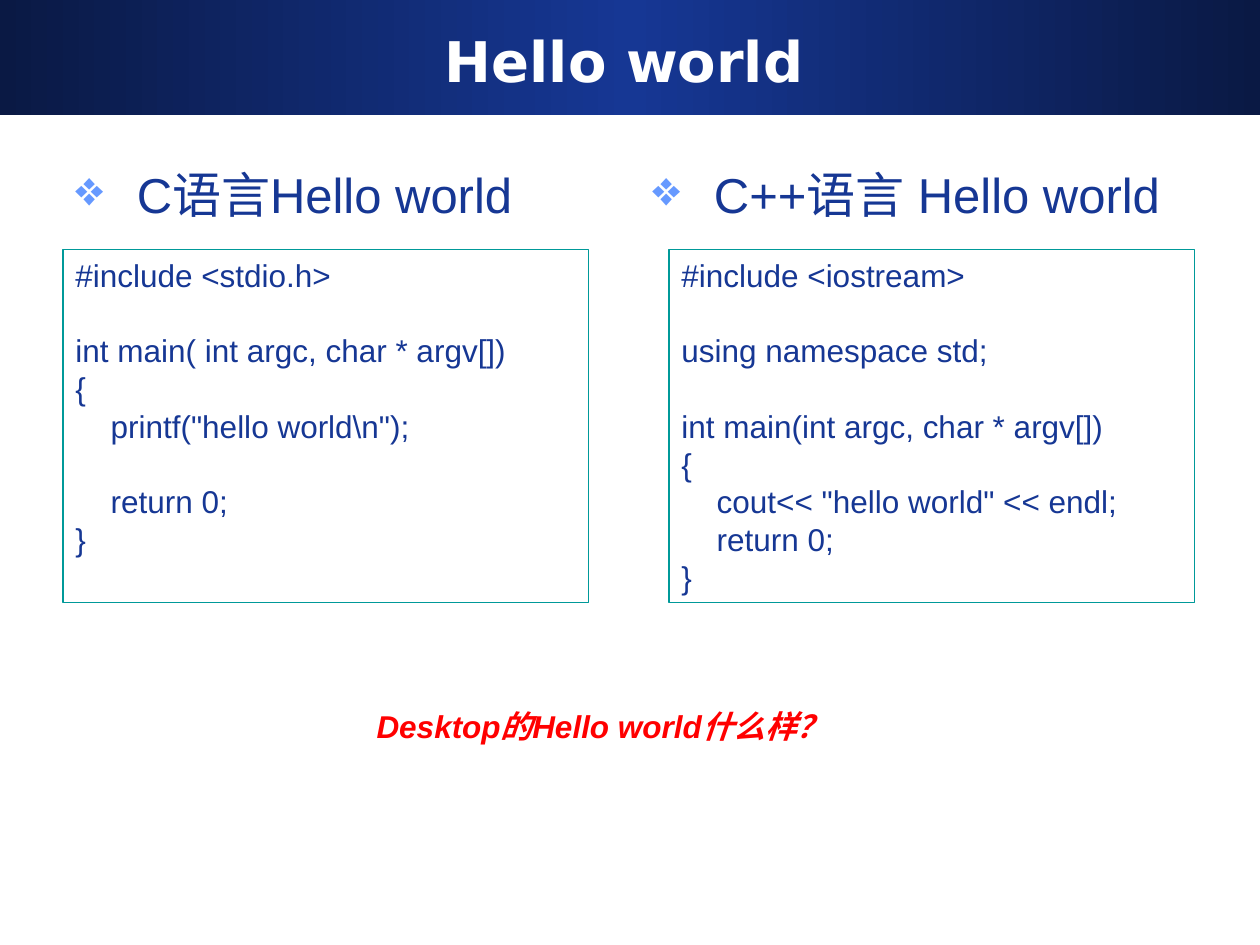
from lxml import etree
from pptx import Presentation
from pptx.dml.color import RGBColor
from pptx.enum.shapes import MSO_SHAPE
from pptx.enum.text import MSO_ANCHOR, PP_ALIGN
from pptx.oxml.ns import qn
from pptx.util import Inches, Pt

RECT = MSO_SHAPE.RECTANGLE
TOP, MIDDLE = MSO_ANCHOR.TOP, MSO_ANCHOR.MIDDLE
LEFT, CENTER = PP_ALIGN.LEFT, PP_ALIGN.CENTER

NAVY = RGBColor(0x0A, 0x19, 0x44)
BLUE = RGBColor(0x16, 0x37, 0x94)
SKY = RGBColor(0x66, 0x99, 0xFF)
TEAL = RGBColor(0x00, 0x99, 0x99)
RED = RGBColor(0xFF, 0x00, 0x00)
WHITE = RGBColor(0xFF, 0xFF, 0xFF)

PITCH = Pt(21.6)
TAB = Inches(0.28)

C_CODE = r"""#include <stdio.h>

int main( int argc, char * argv[])
{
    printf("hello world\n");

    return 0;
}"""

CPP_CODE = """#include <iostream>

using namespace std;

int main(int argc, char * argv[])
{
    cout<< "hello world" << endl;
    return 0;
}"""


def style(para, size, color, font="Arial", bold=False, italic=False):
    for run in para.runs:
        face = run.font
        face.name, face.size = font, Pt(size)
        face.bold, face.italic = bold, italic
        face.color.rgb = color
        east = etree.SubElement(run._r.get_or_add_rPr(), qn("a:ea"))
        east.set("typeface", font)
        run._r.rPr.find(qn("a:latin")).addnext(east)


def add_text(slide, box, text, wrap=True):
    frame = slide.shapes.add_textbox(*map(Inches, box)).text_frame
    frame.word_wrap = wrap
    frame.text = text
    return frame


def add_bullet(para, mark, color):
    props = para._p.get_or_add_pPr()
    props.set("marL", str(Inches(0.38)))
    props.set("indent", str(-Inches(0.38)))
    tint = etree.SubElement(props, qn("a:buClr"))
    etree.SubElement(tint, qn("a:srgbClr")).set("val", str(color))
    etree.SubElement(props, qn("a:buChar")).set("char", mark)


def add_banner(slide, box, text):
    band = slide.shapes.add_shape(RECT, *map(Inches, box))
    band.shadow.inherit = False
    band.line.fill.background()
    band.fill.gradient()
    band.fill.gradient_angle = 0
    stops = band.fill._fill._gradFill.gsLst
    for stop in list(stops):
        stops.remove(stop)
    for place, color in ((0, NAVY), (50, BLUE), (100, NAVY)):
        stop = etree.SubElement(stops, qn("a:gs"))
        stop.set("pos", str(place * 1000))
        etree.SubElement(stop, qn("a:srgbClr")).set("val", str(color))

    x, y, w, _ = box
    frame = add_text(slide, (x + 0.33, y + 0.17, w - 0.75, 0.62), text)
    frame.vertical_anchor = MIDDLE
    para = frame.paragraphs[0]
    para.alignment = CENTER
    style(para, 32, WHITE, "DejaVu Sans", bold=True)


def add_heading(slide, box, text):
    para = add_text(slide, box, text).paragraphs[0]
    para.space_before = Pt(7)
    add_bullet(para, "❖", SKY)
    style(para, 28, BLUE)


def add_code(slide, box, code):
    """Frame a listing; empty lines become spacing, leading blanks an indent."""
    panel = slide.shapes.add_shape(RECT, *map(Inches, box))
    panel.shadow.inherit = False
    panel.fill.background()
    panel.line.color.rgb = TEAL
    panel.line.width = Pt(0.75)
    frame = panel.text_frame
    frame.word_wrap = True
    frame.vertical_anchor = TOP

    lines = code.split("\n")
    frame.text = "\n".join(line.strip() for line in lines if line)
    paras = iter(frame.paragraphs)
    gap = 0
    for line in lines:
        if not line:
            gap += PITCH
            continue
        para = next(paras)
        para.alignment = LEFT
        para.line_spacing = PITCH
        para.space_before = Pt(gap / Pt(1))
        if line.startswith(" "):
            para._p.get_or_add_pPr().set("marL", str(TAB))
        style(para, 18, BLUE)
        gap = 0


def add_question(slide, box, text):
    para = add_text(slide, box, text, wrap=False).paragraphs[0]
    style(para, 18, RED, bold=True, italic=True)


def main():
    deck = Presentation()
    deck.slide_width, deck.slide_height = Inches(10), Inches(7.5)
    slide = deck.slides.add_slide(deck.slide_layouts[6])

    add_banner(slide, (0, 0, 10, 0.91), "Hello world")
    columns = (
        (0.5, 0.5, " C语言Hello world", C_CODE),
        (5.08, 5.31, " C++语言 Hello world", CPP_CODE),
    )
    for head, left, title, code in columns:
        add_heading(slide, (head, 1.26, 4.42, 5.74), title)
        add_code(slide, (left, 1.98, 4.17, 2.8), code)
    add_question(slide, (2.89, 5.56, 4.07, 0.4), "Desktop的Hello world什么样？")
    deck.save("out.pptx")


if __name__ == "__main__":
    main()
